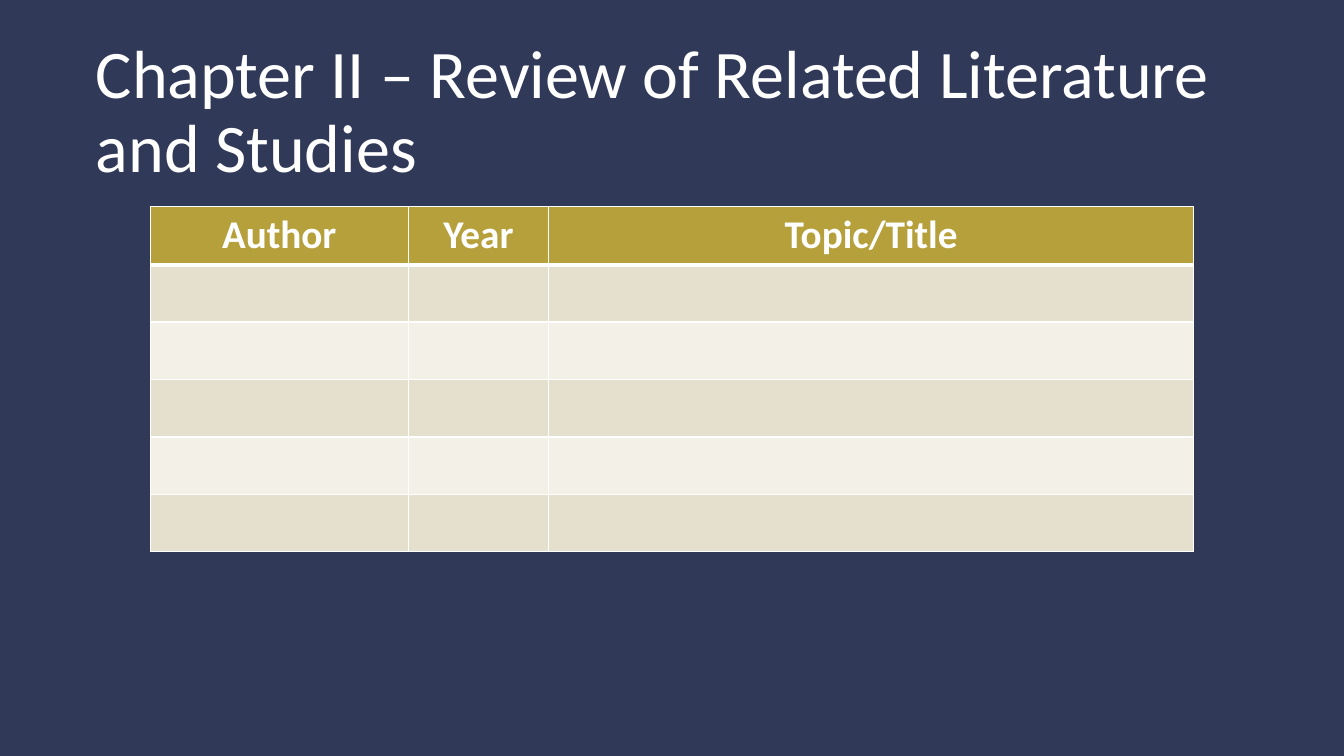
from lxml.etree import SubElement
from pptx import Presentation
from pptx.dml.color import RGBColor
from pptx.enum.shapes import MSO_SHAPE
from pptx.enum.text import MSO_ANCHOR, MSO_AUTO_SIZE, PP_ALIGN
from pptx.oxml.ns import qn
from pptx.util import Inches, Pt


def rgb(value):
    """Turn a hex string into a colour."""
    return RGBColor.from_string(value)


class Deck:
    """Holds the style and the current slide."""

    FONT = "Calibri"
    WHITE = "FFFFFF"
    BACKGROUND = "242A41"
    OVERLAY = "333B5B"
    HEADER = "B6A03C"
    BANDS = ("E5DFCE", "F3F0E8")

    def __init__(self, prs):
        """Add a title-only slide with its background."""
        self.prs = prs
        self.s = prs.slides.add_slide(prs.slide_layouts[5])
        fill = self.s.background.fill
        fill.solid()
        fill.fore_color.rgb = rgb(self.BACKGROUND)

    def overlay(self, opacity):
        """Cover the background with a translucent rectangle."""
        sp = self.s.shapes.add_shape(
            MSO_SHAPE.RECTANGLE, 0, 0, self.prs.slide_width, self.prs.slide_height)
        sp.shadow.inherit = False
        sp.line.fill.background()
        sp.fill.solid()
        sp.fill.fore_color.rgb = rgb(self.OVERLAY)
        color = sp._element.spPr.find(qn("a:solidFill"))[0]
        SubElement(color, qn("a:alpha"), val=str(opacity * 1000))
        self.s.shapes._spTree.insert(2, sp._element)

    def run(self, p, text, size, bold=False):
        """Add a white run to a paragraph."""
        r = p.add_run()
        r.text = text
        r.font.name = self.FONT
        r.font.size = Pt(size)
        r.font.bold = bold
        r.font.color.rgb = rgb(self.WHITE)

    def title(self, text, left, top, width, height, size):
        """Place and fill the title placeholder."""
        sp = self.s.shapes.title
        sp.left, sp.top = Inches(left), Inches(top)
        sp.width, sp.height = Inches(width), Inches(height)
        tf = sp.text_frame
        tf.word_wrap = True
        tf.auto_size = MSO_AUTO_SIZE.NONE
        tf.vertical_anchor = MSO_ANCHOR.MIDDLE
        p = tf.paragraphs[0]
        p.alignment = PP_ALIGN.LEFT
        p.line_spacing = 0.9
        self.run(p, text, size)

    def borders(self, cell, widths):
        """Draw white cell borders, given left, right, top and bottom widths."""
        tcPr = cell._tc.get_or_add_tcPr()
        for side, width in zip("LRTB", widths):
            ln = SubElement(tcPr, qn(f"a:ln{side}"), w=str(Pt(width)))
            fill = SubElement(ln, qn("a:solidFill"))
            SubElement(fill, qn("a:srgbClr"), val=self.WHITE)

    def table(self, headers, col_widths, body_rows, left, top, row_height, size):
        """Add a banded table with a header row and empty body rows."""
        rows = body_rows + 1
        table = self.s.shapes.add_table(
            rows, len(headers), Inches(left), Inches(top),
            Inches(sum(col_widths)), Inches(row_height * rows)).table
        for column, width in zip(table.columns, col_widths):
            column.width = Inches(width)
        for i, row in enumerate(table.rows):
            row.height = Inches(row_height)
            color = self.BANDS[(i - 1) % 2] if i else self.HEADER
            for cell in row.cells:
                self.borders(cell, (1, 1, 3 if i == 1 else 1, 1 if i else 3))
                cell.fill.solid()
                cell.fill.fore_color.rgb = rgb(color)
        for cell, text in zip(table.rows[0].cells, headers):
            p = cell.text_frame.paragraphs[0]
            p.alignment = PP_ALIGN.CENTER
            self.run(p, text, size, bold=True)


def main():
    """Build the slide and save it."""
    prs = Presentation()
    prs.slide_width, prs.slide_height = Inches(13.33), Inches(7.5)
    deck = Deck(prs)
    deck.overlay(90)
    deck.title("Chapter II – Review of Related Literature and Studies",
               0.85, 0.4, 11.63, 1.45, 48.6)
    deck.table(("Author", "Year", "Topic/Title"), (2.56, 1.39, 6.4), 5,
               1.49, 2.05, 0.57, 28)
    prs.save("out.pptx")


if __name__ == "__main__":
    main()
